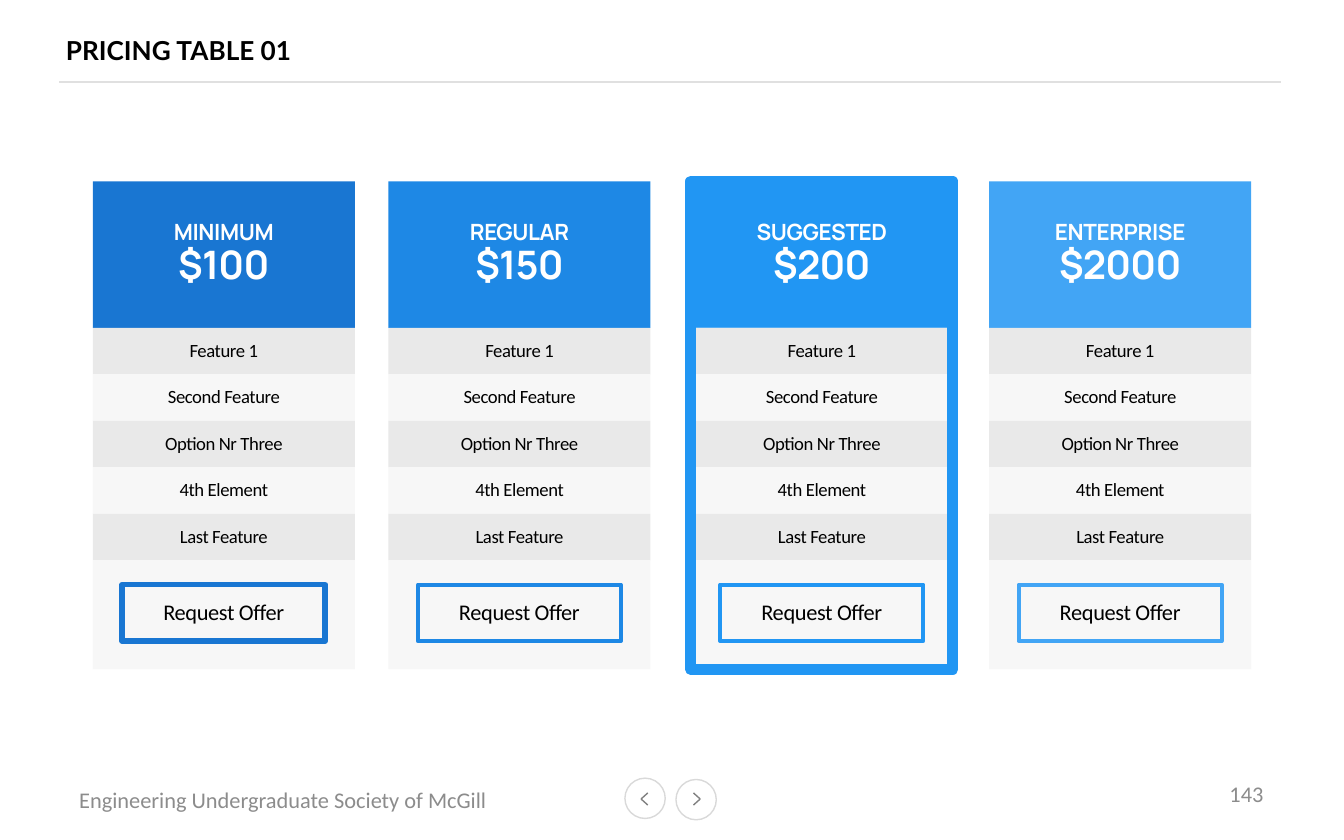
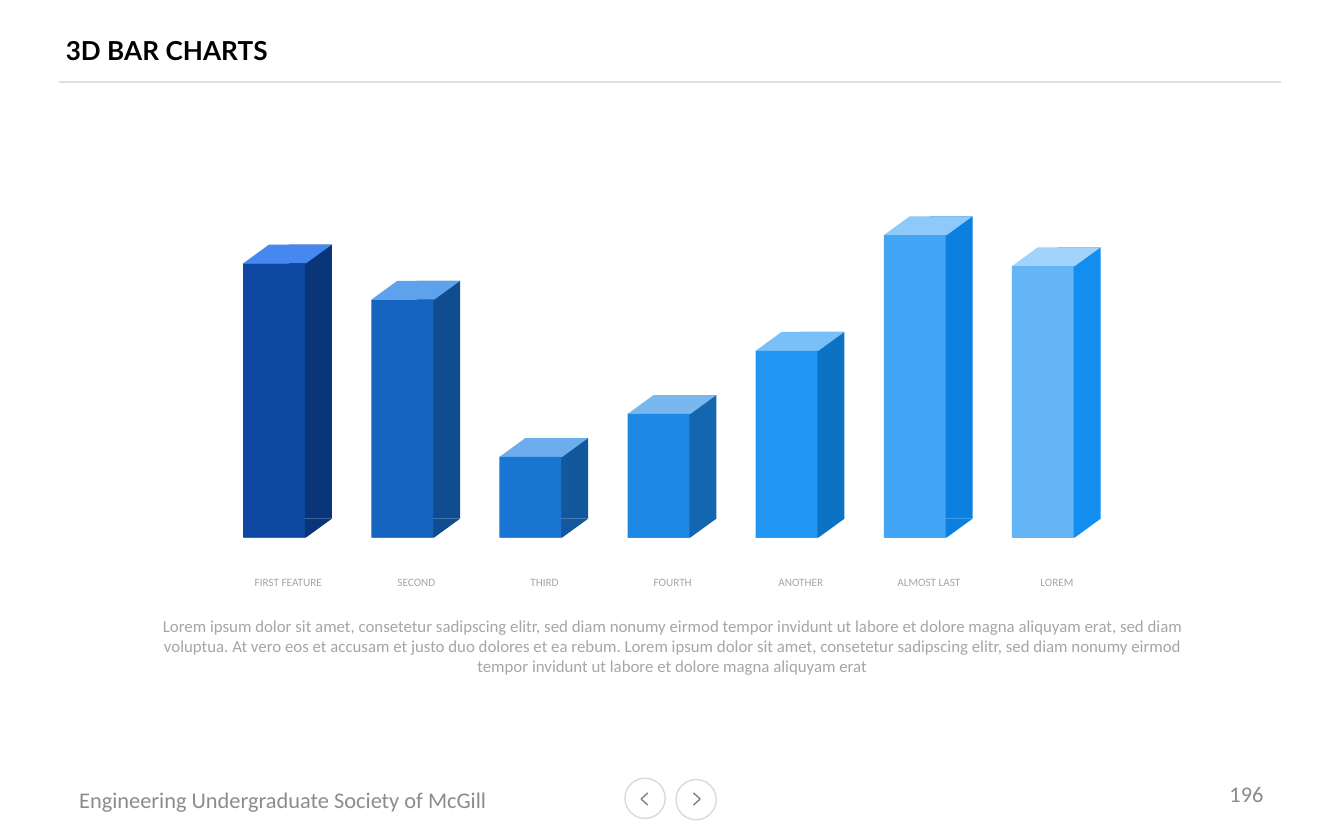
from typing import NamedTuple, Optional

from lxml.etree import SubElement
from pptx import Presentation
from pptx.dml.color import RGBColor
from pptx.enum.shapes import MSO_CONNECTOR, MSO_SHAPE as SHAPE
from pptx.enum.text import MSO_ANCHOR as ANCHOR, MSO_AUTO_SIZE as AUTO, PP_ALIGN as ALIGN
from pptx.oxml.ns import qn
from pptx.util import Inches, Pt

COLORS = {
    "black": "000000", "white": "FFFFFF", "rule": "E0E0E0", "ring": "D9D9D9",
    "arrow": "808080", "footer": "8C8C8C", "caption": "A6A6A6",
    "row_dark": "E9E9E9", "row_light": "F7F7F7",
    "navy": "0D47A1", "navy_side": "0A3579", "navy_top": "4488F0",
    "deep": "1565C0", "deep_side": "104C90", "deep_top": "5EA1ED",
    "strong": "1976D2", "strong_side": "13589D", "strong_top": "6CADED",
    "medium": "1E88E5", "medium_side": "1466AE", "medium_top": "78B8EF",
    "bright": "2196F3", "bright_side": "0B72C4", "bright_top": "7AC0F8",
    "soft": "42A5F5", "soft_side": "0C80DE", "soft_top": "8EC9F9",
    "pale": "64B5F6", "pale_side": "128EF1", "pale_top": "A2D3FA",
}
NO_INSETS = (0, 0, 0, 0)
BOX_INSETS = (0.1, 0.05, 0.1, 0.05)
LABEL_INSETS = (0, 0, 0, 0.05)


class Style(NamedTuple):
    size: float
    color: str
    font: str = "Calibri"
    bold: bool = False
    spacing: float = 0  # points between letters


class Plan(NamedTuple):
    name: str
    price: str
    left: float
    color: str
    button_line: float = 2.25
    featured: bool = False


class Bar(NamedTuple):
    label: str
    height: float
    color: str


TITLE = Style(14, "black", "Lato", True)
FOOTER = Style(12, "footer")
PLAN_NAME = Style(12, "white", "Manrope", True, -0.2)
PLAN_PRICE = Style(21, "white", "Manrope", True, -0.4)
FEATURE = Style(10, "black", spacing=-0.2)
BUTTON = Style(12, "black", spacing=-0.2)
BAR_LABEL = Style(6, "caption")
CAPTION = Style(9, "caption")

# The featured plan comes last so that its frame lies on top
PLANS = [
    Plan("MINIMUM", "$100", 0.69, "strong", button_line=3),
    Plan("REGULAR", "$150", 2.89, "medium"),
    Plan("ENTERPRISE", "$2000", 7.36, "soft"),
    Plan("SUGGESTED", "$200", 5.14, "bright", featured=True),
]
FEATURES = ["Feature 1", "Second Feature", "Option Nr Three", "4th Element", "Last Feature"]
BARS = [
    Bar("FIRST FEATURE", 2.04, "navy"),
    Bar("SECOND", 1.77, "deep"),
    Bar("THIRD", 0.6, "strong"),
    Bar("FOURTH", 0.92, "medium"),
    Bar("ANOTHER", 1.39, "bright"),
    Bar("ALMOST LAST", 2.25, "soft"),
    Bar("LOREM", 2.02, "pale"),
]
LOREM = (
    "Lorem ipsum dolor sit amet, consetetur sadipscing elitr, sed diam nonumy eirmod "
    "tempor invidunt ut labore et dolore magna aliquyam erat, sed diam voluptua. At vero "
    "eos et accusam et justo duo dolores et ea rebum. Lorem ipsum dolor sit amet, "
    "consetetur sadipscing elitr, sed diam nonumy eirmod tempor invidunt ut labore et "
    "dolore magna aliquyam erat"
)


def rgb(name: str) -> RGBColor:
    return RGBColor.from_string(COLORS[name])


def write(sp, lines: list[tuple[str, Style]], align=ALIGN.LEFT, anchor=ANCHOR.MIDDLE,
          insets=BOX_INSETS, line_spacing: Optional[float] = None) -> None:
    tf = sp.text_frame
    tf.word_wrap = True
    tf.vertical_anchor = anchor
    tf.margin_left, tf.margin_top, tf.margin_right, tf.margin_bottom = map(Inches, insets)
    tf.text = "\n".join(text for text, _ in lines)
    for p, (_, style) in zip(tf.paragraphs, lines):
        p.alignment = align
        if line_spacing:
            p.line_spacing = line_spacing
        for r in p.runs:
            r.font.name, r.font.size, r.font.bold = style.font, Pt(style.size), style.bold
            r.font.color.rgb = rgb(style.color)
            if style.spacing:
                r.font._element.set("spc", str(round(style.spacing * 100)))


def add_text(slide, box: tuple, text: str, style: Style, grow: bool = False, **layout) -> None:
    sp = slide.shapes.add_textbox(*map(Inches, box))
    write(sp, [(text, style)], **layout)
    if grow:
        sp.text_frame.auto_size = AUTO.SHAPE_TO_FIT_TEXT


def add_shape(slide, kind, box: tuple, fill: Optional[str] = None,
              line: Optional[str] = None, width: float = 0.75):
    sp = slide.shapes.add_shape(kind, *map(Inches, box))
    sp.shadow.inherit = False
    if fill:
        sp.fill.solid()
        sp.fill.fore_color.rgb = rgb(fill)
    else:
        sp.fill.background()
    if line:
        sp.line.color.rgb = rgb(line)
        sp.line.width = Pt(width)
    else:
        sp.line.fill.background()
    return sp


def add_line(shapes, start: tuple, end: tuple, color: str) -> None:
    cn = shapes.add_connector(MSO_CONNECTOR.STRAIGHT, *map(Inches, start + end))
    cn.line.color.rgb = rgb(color)
    cn.line.width = Pt(0.75)
    SubElement(cn._element.spPr, qn("a:effectLst"))


def add_nav_button(slide, left: float, top: float, tip: float, tail: float) -> None:
    add_shape(slide, SHAPE.OVAL, (left, top, 0.3, 0.3), "white", "ring")
    arrow = slide.shapes.add_group_shape()
    for end_y in (5.9, 5.99):
        add_line(arrow.shapes, (tip, 5.945), (tail, end_y), "arrow")


def add_base_slide(prs, title: str, number: str):
    """Blank slide with the shared title, rule and footer."""
    slide = prs.slides.add_slide(prs.slide_layouts[6])
    add_line(slide.shapes, (9.53, 0.61), (0.44, 0.61), "rule")
    add_text(slide, (0.49, 5.8, 3.39, 0.3), "Engineering Undergraduate Society of McGill", FOOTER)
    add_nav_button(slide, 4.65, 5.79, tip=4.77, tail=4.82)
    add_nav_button(slide, 5.03, 5.8, tip=5.21, tail=5.16)
    add_text(slide, (0.49, 0.16, 6.67, 0.43), title, TITLE, insets=NO_INSETS)
    add_text(slide, (7.17, 5.74, 2.33, 0.33), number, FOOTER, align=ALIGN.RIGHT)
    return slide


def add_plan(slide, plan: Plan) -> None:
    width, top, rows_top, rows_bottom, bottom = 1.95, 1.35, 2.44, 4.17, 4.98
    row_height = (rows_bottom - rows_top) / len(FEATURES)
    cell = dict(align=ALIGN.CENTER, insets=NO_INSETS, line_spacing=0.9)

    # Header
    header = add_shape(slide, SHAPE.RECTANGLE, (plan.left, top, width, rows_top - top),
                       plan.color, "soft" if plan.featured else None, 1)
    write(header, [(plan.name, PLAN_NAME), (plan.price, PLAN_PRICE)], **cell)

    # Feature rows
    for i, feature in enumerate(FEATURES):
        row = add_shape(slide, SHAPE.RECTANGLE,
                        (plan.left, rows_top + i * row_height, width, row_height),
                        "row_light" if i % 2 else "row_dark")
        write(row, [(feature, FEATURE)], **cell)

    # Button area
    add_shape(slide, SHAPE.RECTANGLE, (plan.left, rows_bottom, width, bottom - rows_bottom),
              "row_light")
    button = add_shape(slide, SHAPE.RECTANGLE, (plan.left + 0.22, 4.35, 1.51, 0.42),
                       line=plan.color, width=plan.button_line)
    write(button, [("Request Offer", BUTTON)], **cell)

    if plan.featured:
        add_shape(slide, SHAPE.RECTANGLE, (plan.left, top, width, bottom - top),
                  line=plan.color, width=6)


def add_bar(slide, bar: Bar, left: float) -> None:
    base, depth, front_width, full_width, side_width = 4.0, 0.14, 0.46, 0.66, 0.32
    front_top = base - bar.height
    back_top = front_top - depth
    side = f"{bar.color}_side"
    add_shape(slide, SHAPE.RECTANGLE,
              (left + full_width - side_width, back_top, side_width, bar.height), side)
    for top, color in ((back_top, f"{bar.color}_top"), (base - depth, side)):
        face = add_shape(slide, SHAPE.PARALLELOGRAM, (left, top, full_width, depth), color)
        face.adjustments[0] = 1.375
    add_shape(slide, SHAPE.RECTANGLE, (left, front_top, front_width, bar.height), bar.color)


def build_pricing(prs) -> None:
    slide = add_base_slide(prs, "PRICING TABLE 01", "143")
    for plan in PLANS:
        add_plan(slide, plan)


def build_bars(prs) -> None:
    slide = add_base_slide(prs, "3D BAR CHARTS", "196")
    first, last = 1.81, 7.53
    pitch = (last - first) / (len(BARS) - 1)
    centered = dict(grow=True, align=ALIGN.CENTER, anchor=ANCHOR.TOP)
    for i, bar in enumerate(BARS):
        left = first + i * pitch
        add_text(slide, (left + 0.05, 4.28, 0.57, 0.15), bar.label, BAR_LABEL,
                 insets=LABEL_INSETS, **centered)
        add_bar(slide, bar, left)
    add_text(slide, (1.06, 4.53, 7.88, 0.56), LOREM, CAPTION, **centered)


def main() -> None:
    prs = Presentation()
    prs.slide_width, prs.slide_height = Inches(10), Inches(6.25)
    build_pricing(prs)
    build_bars(prs)
    prs.save("out.pptx")


if __name__ == "__main__":
    main()
